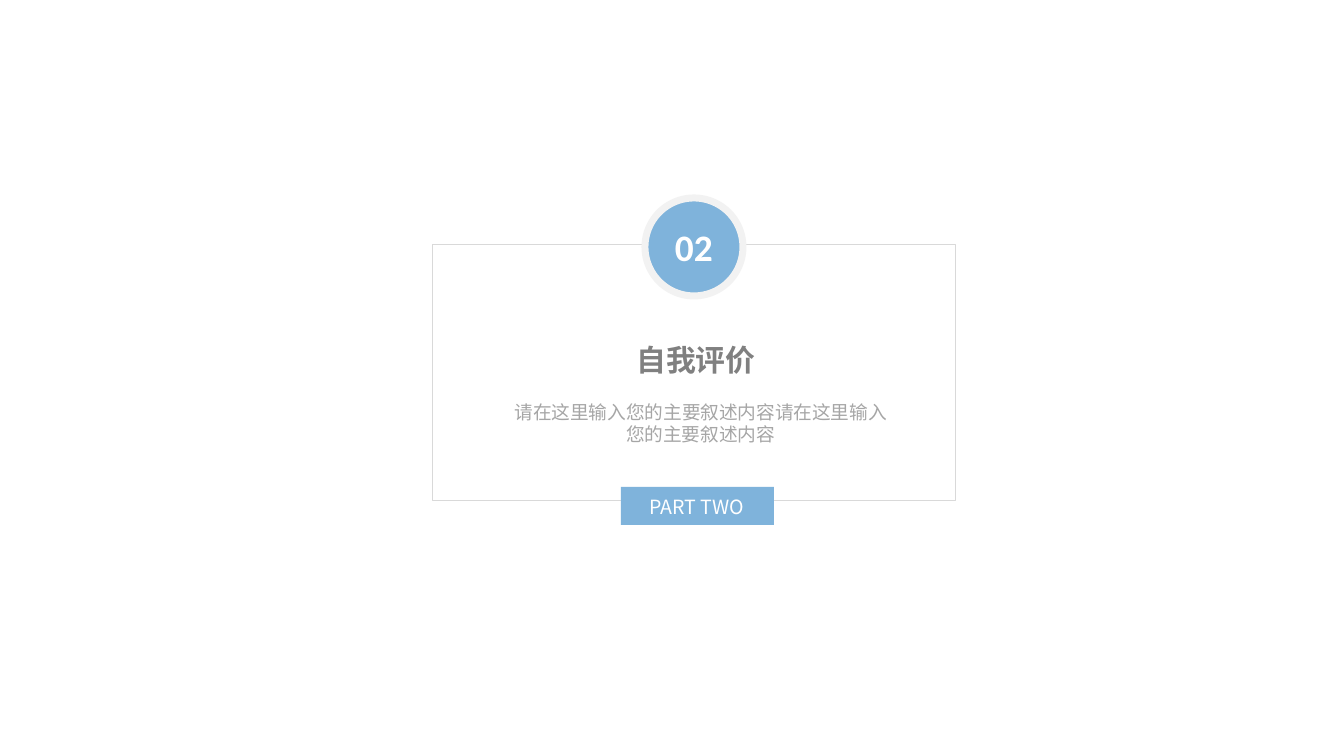
from pptx import Presentation
from pptx.dml.color import RGBColor
from pptx.enum.shapes import MSO_SHAPE
from pptx.enum.text import MSO_ANCHOR, MSO_AUTO_SIZE, PP_ALIGN
from pptx.oxml.ns import qn
from pptx.util import Pt
from lxml import etree

RECTANGLE, OVAL = MSO_SHAPE.RECTANGLE, MSO_SHAPE.OVAL
TOP, MIDDLE = MSO_ANCHOR.TOP, MSO_ANCHOR.MIDDLE
LEFT, CENTER = PP_ALIGN.LEFT, PP_ALIGN.CENTER
FIT_SHAPE = MSO_AUTO_SIZE.SHAPE_TO_FIT_TEXT

EMU_PER_PX = 914400 / 134.4
BLUE = "7FB3DB"
CJK_FONT = "Noto Sans CJK SC"


def color(hex_value):
    return RGBColor.from_string(hex_value)


def write(shape, text, size, font_name, hex_value, bold, align, anchor, wrap):
    frame = shape.text_frame
    frame.text = text
    frame.word_wrap = wrap
    frame.vertical_anchor = anchor
    paragraph = frame.paragraphs[0]
    paragraph.alignment = align
    run = paragraph.runs[0]
    run.font.size = Pt(size)
    run.font.bold = bold
    run.font.color.rgb = color(hex_value)
    run.font.name = font_name
    # East Asian characters take their typeface from a:ea
    east_asian = etree.SubElement(run.font._element, qn("a:ea"))
    east_asian.set("typeface", font_name)


prs = Presentation()
prs.slide_width = round(1344 * EMU_PER_PX)
prs.slide_height = round(756 * EMU_PER_PX)
slide = prs.slides.add_slide(prs.slide_layouts[5])

# Card outline, number badge and part tag: kind, box, fill, line, line width
decorations = []
for kind, box, fill, line, line_width in (
    (RECTANGLE, (433, 244, 523, 257), None, "D9D9D9", 0.5),
    (OVAL, (645, 198, 98, 98), BLUE, "F2F2F2", 3.75),
    (RECTANGLE, (621, 487, 153, 38), BLUE, None, None),
):
    shape = slide.shapes.add_shape(kind, *(round(v * EMU_PER_PX) for v in box))
    shape.shadow.inherit = False
    if fill:
        shape.fill.solid()
        shape.fill.fore_color.rgb = color(fill)
    else:
        shape.fill.background()
    if line:
        shape.line.color.rgb = color(line)
        shape.line.width = Pt(line_width)
    else:
        shape.line.fill.background()
    decorations.append(shape)

card, badge, tag = decorations
write(badge, "02", 20, "Calibri", "FFFFFF", True, CENTER, MIDDLE, True)

# Section title, description and part label
title = slide.shapes.title
description = slide.shapes.add_textbox(0, 0, 0, 0)
part_label = slide.shapes.add_textbox(0, 0, 0, 0)
for holder, box, text, size, hex_value, bold, align, wrap in (
    (title, (622, 335, 148, 50), "自我评价", 16, "808080", True, CENTER, False),
    (description, (496, 394, 409, 59),
     "请在这里输入您的主要叙述内容请在这里输入您的主要叙述内容",
     10, "A6A6A6", False, CENTER, True),
    (part_label, (636, 488, 130, 38), "PART TWO", 10.5, "FFFFFF", False, LEFT, False),
):
    holder.left, holder.top, holder.width, holder.height = (
        round(v * EMU_PER_PX) for v in box)
    write(holder, text, size, CJK_FONT, hex_value, bold, align, TOP, wrap)
    holder.text_frame.auto_size = FIT_SHAPE

prs.save("out.pptx")
